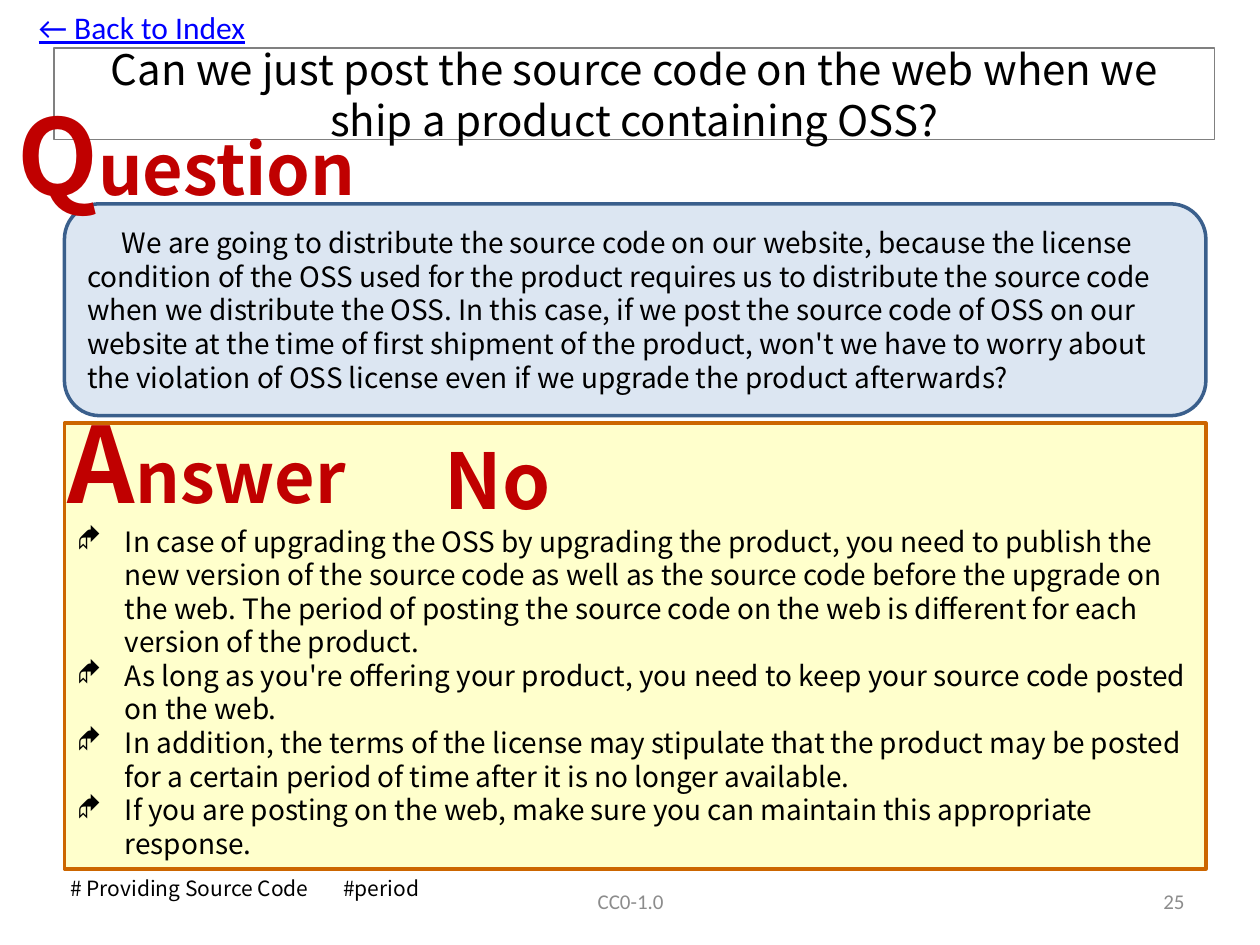
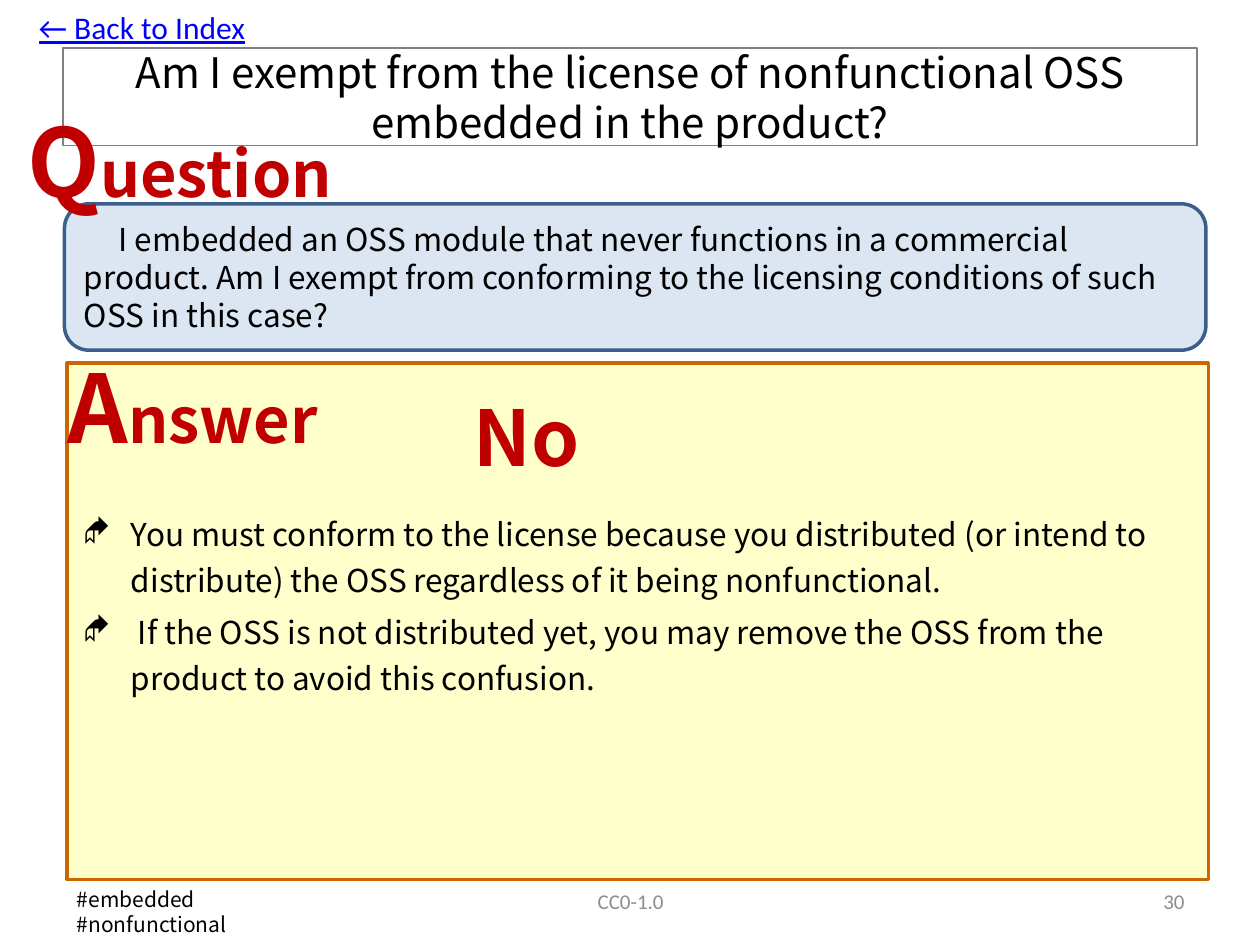
from dataclasses import dataclass
from typing import Optional

from lxml.etree import SubElement
from pptx import Presentation
from pptx.dml.color import RGBColor
from pptx.enum.shapes import MSO_SHAPE
from pptx.enum.text import MSO_ANCHOR, MSO_AUTO_SIZE, PP_ALIGN
from pptx.oxml.ns import qn
from pptx.util import Cm, Pt


@dataclass(frozen=True)
class Theme:
    sans: str = "Noto Sans CJK JP"
    plain: str = "Calibri"
    mark: str = "Wingdings"
    ink: str = "000000"
    red: str = "C00000"
    link: str = "0000FF"
    gray: str = "8C8C8C"
    frame: str = "808080"
    blue: str = "DCE6F2"
    navy: str = "3A5F8C"
    cream: str = "FFFFCC"
    rust: str = "CC6600"
    title: int = 24
    verdict: int = 44
    index: int = 18
    small: int = 12


@dataclass(frozen=True)
class Box:
    """Left, top, width and height in centimetres."""
    x: float
    y: float
    w: float
    h: float


@dataclass(frozen=True)
class Style:
    size: Optional[int]
    color: str = "000000"
    font: str = "Noto Sans CJK JP"
    bold: bool = False
    under: bool = False
    align: PP_ALIGN = PP_ALIGN.LEFT


@dataclass(frozen=True)
class Label:
    """A heading with a large first letter."""
    text: str
    box: Box
    big: int
    rest: int


@dataclass(frozen=True)
class Page:
    title: str
    head: Box
    ask: str
    pane: Box
    card: Box
    labels: tuple[Label, ...]
    verdict: Box
    points: tuple[str, ...]
    body: Box
    size: int
    lead: float
    gap: float
    tags: str
    foot: Box
    number: str


T = Theme()
INDENT = Cm(0.97)
FIRST = Cm(0.7)
TAB = Cm(5.5)
INDEX = Box(0.53, 0.03, 4.72, 1.02)
NOTE = Box(8.69, 17.65, 8.05, 1.02)
NUMBER = Box(18.21, 17.65, 5.92, 1.02)

PAGES = (
    Page(
        title="Can we just post the source code on the web when we ship a "
              "product containing OSS?",
        head=Box(1.09, 0.97, 23.39, 1.85),
        ask="We are going to distribute the source code on our website, "
            "because the license condition of the OSS used for the product "
            "requires us to distribute the source code when we distribute "
            "the OSS. In this case, if we post the source code of OSS on our "
            "website at the time of first shipment of the product, won't we "
            "have to worry about the violation of OSS license even if we "
            "upgrade the product afterwards?",
        pane=Box(1.3, 4.11, 23.01, 4.27),
        card=Box(1.3, 8.53, 23.01, 8.99),
        labels=(Label("Question", Box(0.1, 1.7, 7.8, 2.82), 60, 40),
                Label("Answer", Box(1.12, 7.9, 6.68, 2.82), 60, 40)),
        verdict=Box(8.71, 8.59, 4.8, 2.13),
        points=(
            "In case of upgrading the OSS by upgrading the product, you need "
            "to publish the new version of the source code as well as the "
            "source code before the upgrade on the web. The period of posting "
            "the source code on the web is different for each version of the "
            "product.",
            "As long as you're offering your product, you need to keep your "
            "source code posted on the web.",
            "In addition, the terms of the license may stipulate that the "
            "product may be posted for a certain period of time after it is "
            "no longer available.",
            "If you are posting on the web, make sure you can maintain this "
            "appropriate response.",
        ),
        body=Box(1.3, 10.44, 23.04, 7.09),
        size=16, lead=1.0, gap=0,
        tags="# Providing Source Code\t#period",
        foot=Box(1.17, 17.53, 7.77, 0.76),
        number="25",
    ),
    Page(
        title="Am I exempt from the license of nonfunctional OSS embedded in "
              "the product?",
        head=Box(1.27, 0.97, 22.86, 1.96),
        ask="I embedded an OSS module that never functions in a commercial "
            "product. Am I exempt from conforming to the licensing conditions "
            "of such OSS in this case?",
        pane=Box(1.3, 4.11, 23.01, 2.95),
        card=Box(1.35, 7.32, 23.01, 10.41),
        labels=(Label("Question", Box(0.3, 1.96, 7.06, 2.57), 54, 36),
                Label("Answer", Box(1.12, 6.91, 6.07, 2.57), 54, 36)),
        verdict=Box(9.3, 7.72, 8.79, 2.13),
        points=(
            "You must conform to the license because you distributed (or "
            "intend to distribute) the OSS regardless of it being "
            "nonfunctional.",
            " If the OSS is not distributed yet, you may remove the OSS from "
            "the product to avoid this confusion.",
        ),
        body=Box(1.42, 10.11, 22.91, 7.54),
        size=18, lead=1.2, gap=4.3,
        tags="#embedded\v#nonfunctional",
        foot=Box(1.3, 17.75, 6.48, 0.76),
        number="30",
    ),
)


def rgb(code: str) -> RGBColor:
    return RGBColor.from_string(code)


def span(box: Box) -> tuple:
    return Cm(box.x), Cm(box.y), Cm(box.w), Cm(box.h)


def dress(para, style: Style) -> None:
    para.alignment = style.align
    font = para.font
    font.name = style.font
    font.bold = style.bold
    font.underline = style.under
    font.color.rgb = rgb(style.color)
    if style.size:
        font.size = Pt(style.size)
    props = para._p.pPr.find(qn("a:defRPr"))
    east = SubElement(props, qn("a:ea"))
    east.set("typeface", style.font)


def write(slide, box: Box, text: str, style: Style, wrap: bool = True,
          anchor: MSO_ANCHOR = MSO_ANCHOR.TOP):
    frame = slide.shapes.add_textbox(*span(box)).text_frame
    frame.word_wrap = wrap
    frame.auto_size = MSO_AUTO_SIZE.NONE if wrap else MSO_AUTO_SIZE.SHAPE_TO_FIT_TEXT
    frame.vertical_anchor = anchor
    para = frame.paragraphs[0]
    para.text = text
    if "\t" in text:
        stops = SubElement(para._p.get_or_add_pPr(), qn("a:tabLst"))
        stop = SubElement(stops, qn("a:tab"))
        stop.set("pos", str(TAB))
        stop.set("algn", "l")
    dress(para, style)
    return frame


def panel(slide, kind: MSO_SHAPE, box: Box, fill: str, line: str):
    shape = slide.shapes.add_shape(kind, *span(box))
    shape.shadow.inherit = False
    shape.fill.solid()
    shape.fill.fore_color.rgb = rgb(fill)
    shape.line.color.rgb = rgb(line)
    shape.line.width = Pt(2)
    return shape


def head(slide, page: Page) -> None:
    shape = slide.shapes.title
    shape.left, shape.top, shape.width, shape.height = span(page.head)
    shape.line.color.rgb = rgb(T.frame)
    shape.line.width = Pt(0.75)
    frame = shape.text_frame
    frame.text = page.title
    frame.word_wrap = True
    frame.auto_size = MSO_AUTO_SIZE.NONE
    frame.vertical_anchor = MSO_ANCHOR.MIDDLE
    dress(frame.paragraphs[0], Style(T.title, align=PP_ALIGN.CENTER))


def ask(slide, page: Page) -> None:
    shape = panel(slide, MSO_SHAPE.ROUNDED_RECTANGLE, page.pane, T.blue, T.navy)
    frame = shape.text_frame
    frame.word_wrap = True
    frame.vertical_anchor = MSO_ANCHOR.MIDDLE
    para = frame.paragraphs[0]
    para.text = page.ask
    para._p.get_or_add_pPr().set("indent", str(FIRST))
    dress(para, Style(page.size))


def points(slide, page: Page) -> None:
    frame = slide.shapes.add_textbox(*span(page.body)).text_frame
    frame.word_wrap = True
    for i, text in enumerate(page.points):
        para = frame.add_paragraph() if i else frame.paragraphs[0]
        para.text = text
        props = para._p.get_or_add_pPr()
        props.set("marL", str(INDENT))
        props.set("indent", str(-INDENT))
        SubElement(props, qn("a:buFont")).set("typeface", T.mark)
        SubElement(props, qn("a:buChar")).set("char", "◆")
        if page.lead != 1:
            para.line_spacing = page.lead
        if i and page.gap:
            para.space_before = Pt(page.gap)
        dress(para, Style(page.size))


def label(slide, item: Label) -> None:
    style = Style(None, T.red, bold=True)
    para = write(slide, item.box, "", style, wrap=False).paragraphs[0]
    for text, size in ((item.text[0], item.big), (item.text[1:], item.rest)):
        run = para.add_run()
        run.text = text
        run.font.size = Pt(size)


def build(deck, page: Page) -> None:
    slide = deck.slides.add_slide(deck.slide_layouts[5])
    # Answer card, title and points
    panel(slide, MSO_SHAPE.RECTANGLE, page.card, T.cream, T.rust)
    head(slide, page)
    points(slide, page)
    # Question pane and verdict
    ask(slide, page)
    write(slide, page.verdict, "No", Style(T.verdict, T.red, bold=True))
    for item in page.labels:
        label(slide, item)
    # Index line, tags and footer
    write(slide, INDEX, "← Back to Index",
          Style(T.index, T.link, T.plain, under=True), wrap=False)
    write(slide, page.foot, page.tags, Style(T.small), wrap=False)
    for box, text, align in ((NOTE, "CC0-1.0", PP_ALIGN.CENTER),
                             (NUMBER, page.number, PP_ALIGN.RIGHT)):
        write(slide, box, text, Style(T.small, T.gray, T.plain, align=align),
              anchor=MSO_ANCHOR.MIDDLE)


def main() -> None:
    deck = Presentation()
    deck.slide_width, deck.slide_height = Cm(25.4), Cm(19.05)
    for page in PAGES:
        build(deck, page)
    deck.save("out.pptx")


if __name__ == "__main__":
    main()
